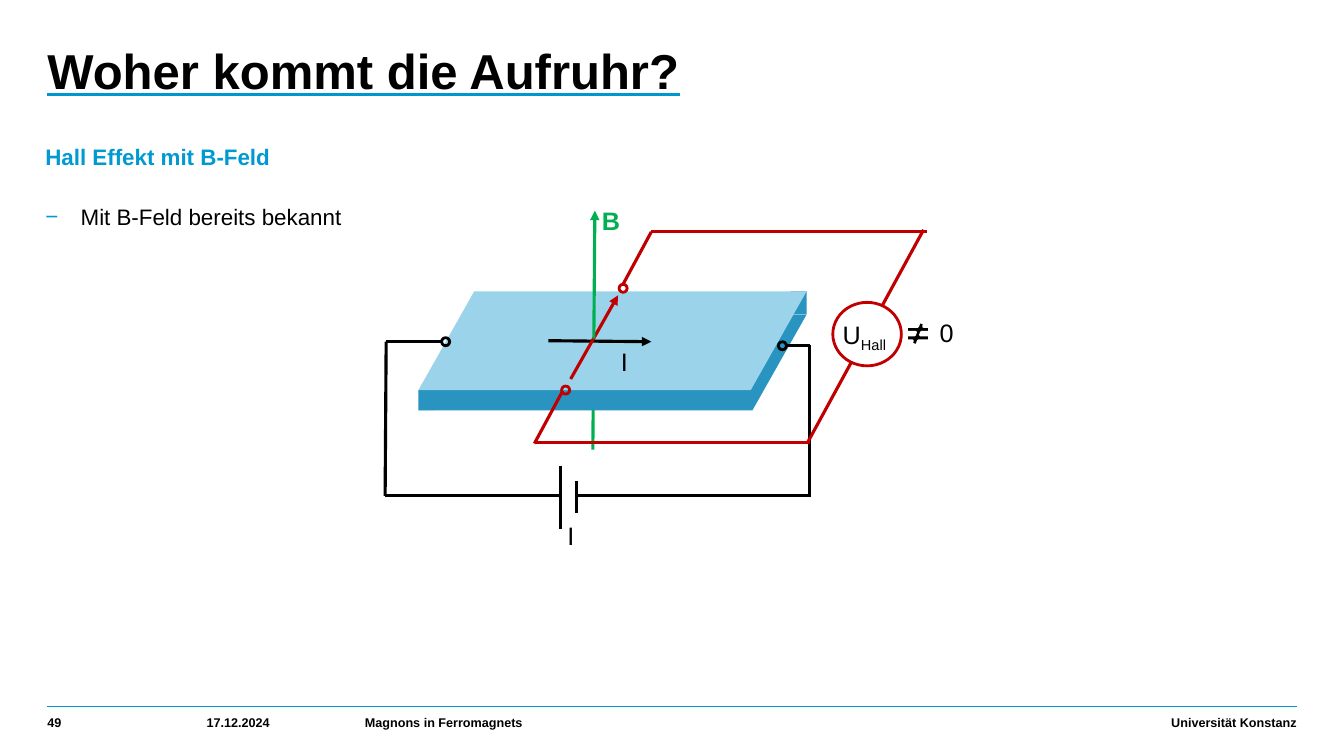
from lxml import etree
from pptx import Presentation
from pptx.dml.color import RGBColor
from pptx.enum.shapes import MSO_CONNECTOR, MSO_SHAPE
from pptx.enum.text import MSO_ANCHOR, MSO_AUTO_SIZE, PP_ALIGN
from pptx.oxml.ns import qn
from pptx.util import Pt

PX = 9144  # one hundredth of an inch in EMU
FONT = "Arial"
BLACK = RGBColor(0x00, 0x00, 0x00)
WHITE = RGBColor(0xFF, 0xFF, 0xFF)
BLUE = RGBColor(0x00, 0x97, 0xCC)
HEADING_BLUE = RGBColor(0x00, 0x9A, 0xD1)
PLATE_SIDE = RGBColor(0x28, 0x94, 0xBF)
PLATE_TOP = RGBColor(0x9B, 0xD3, 0xEA)
GREEN = RGBColor(0x00, 0xB0, 0x50)
RED = RGBColor(0xC0, 0x00, 0x00)

LINE = MSO_CONNECTOR.STRAIGHT
RECTANGLE = MSO_SHAPE.RECTANGLE
PARALLELOGRAM = MSO_SHAPE.PARALLELOGRAM
OVAL = MSO_SHAPE.OVAL
NOT_EQUAL = MSO_SHAPE.MATH_NOT_EQUAL
LEFT, RIGHT = PP_ALIGN.LEFT, PP_ALIGN.RIGHT
TOP, BOTTOM = MSO_ANCHOR.TOP, MSO_ANCHOR.BOTTOM
NO_FIT = MSO_AUTO_SIZE.NONE


def emu(*lengths):
    return [length * PX for length in lengths]


def style(font, size, color, bold=False):
    font.name, font.size, font.bold = FONT, Pt(size), bold
    font.color.rgb = color


def add_line(page, start, end, color=BLACK, width=2.25, arrow=False):
    line = page.shapes.add_connector(LINE, *emu(*start, *end))
    line.line.color.rgb = color
    line.line.width = Pt(width)
    if arrow:
        etree.SubElement(line.line._get_or_add_ln(), qn("a:tailEnd"), type="triangle")
    etree.SubElement(line._element.spPr, qn("a:effectLst"))


def add_form(page, kind, box, fill=None, outline=None, slant=None):
    form = page.shapes.add_shape(kind, *emu(*box))
    form.shadow.inherit = False
    if fill is None:
        form.fill.background()
    else:
        form.fill.solid()
        form.fill.fore_color.rgb = fill
    if outline is None:
        form.line.fill.background()
    else:
        form.line.color.rgb = outline
        form.line.width = Pt(2)
    if slant is not None:
        form.adjustments[0] = slant


def add_label(page, box, text, color=BLACK, bold=False, subscript=None, wrap=True):
    frame = page.shapes.add_textbox(*emu(*box)).text_frame
    frame.word_wrap = wrap
    para = frame.paragraphs[0]
    para.add_run().text = text
    if subscript:
        span = para.add_run()
        span.text = subscript
        span._r.get_or_add_rPr().set("baseline", "-25000")
    style(para.font, 18, color, bold)


def add_footer(page, box, text, align=LEFT):
    frame = page.shapes.add_textbox(*emu(*box)).text_frame
    set_frame(frame, BOTTOM)
    frame.margin_bottom = 6 * PX
    para = frame.paragraphs[0]
    para.text, para.alignment = text, align
    style(para.font, 9, BLACK, True)


def set_frame(frame, anchor):
    frame.word_wrap, frame.auto_size = True, NO_FIT
    frame.vertical_anchor = anchor
    frame.margin_left = frame.margin_right = frame.margin_top = frame.margin_bottom = 0


def place(holder, box):
    holder.left, holder.top, holder.width, holder.height = emu(*box)
    set_frame(holder.text_frame, TOP)
    return holder.text_frame


def set_bullet(para, mark=None, indent=0):
    properties = para._p.get_or_add_pPr()
    properties.set("marL", str(indent * PX))
    properties.set("indent", str(-indent * PX))
    if mark is None:
        etree.SubElement(properties, qn("a:buNone"))
        return
    color = etree.SubElement(properties, qn("a:buClr"))
    etree.SubElement(color, qn("a:srgbClr"), val=str(HEADING_BLUE))
    etree.SubElement(properties, qn("a:buChar"), char=mark)


def add_title(page):
    para = place(page.shapes.title, (47, 44, 924, 71)).paragraphs[0]
    para.alignment, para.line_spacing = LEFT, 0.95
    span = para.add_run()
    span.text = "Woher kommt die Aufruhr?"
    span.font.underline = True
    underline = etree.SubElement(span._r.get_or_add_rPr(), qn("a:uFill"))
    fill = etree.SubElement(underline, qn("a:solidFill"))
    etree.SubElement(fill, qn("a:srgbClr"), val=str(BLUE))
    style(para.font, 35, BLACK, True)


def add_body(page):
    frame = place(page.placeholders[1], (45, 139, 408, 504))
    heading, item = frame.paragraphs[0], frame.add_paragraph()
    heading.text, item.text = "Hall Effekt mit B-Feld", "Mit B-Feld bereits bekannt"
    item.level = 1
    set_bullet(heading)
    set_bullet(item, "−", 35)
    for para, gap, color, bold in ((heading, 0, HEADING_BLUE, True), (item, 22, BLACK, False)):
        para.line_spacing, para.space_before = 1.1, Pt(gap)
        style(para.font, 16, color, bold)


def add_plate(page):
    add_line(page, (588, 446), (589, 319), GREEN, arrow=True)
    add_form(page, PARALLELOGRAM, (415, 312, 385, 95), PLATE_SIDE, slant=0.565)
    add_form(page, RECTANGLE, (415, 387, 16, 20), PLATE_SIDE)
    add_form(page, RECTANGLE, (784, 289, 16, 23), PLATE_SIDE)
    add_form(page, PARALLELOGRAM, (415, 289, 385, 98), PLATE_TOP, slant=0.565)


def add_current_circuit(page):
    for left, top in ((772, 339), (438, 335)):
        add_form(page, OVAL, (left, top, 8, 8), outline=BLACK)
    # Wires, then the two battery plates
    for start, end in (
        ((438, 339), (383, 339)), ((803, 343), (780, 343)),
        ((803, 493), (803, 342)), ((382, 492), (383, 339)),
        ((556, 492), (382, 492)), ((803, 492), (572, 492)),
        ((556, 462), (556, 525)), ((572, 477), (572, 509)),
    ):
        add_line(page, start, end)
    add_label(page, (553, 511, 33, 40), "I")
    add_line(page, (544, 338), (646, 339), arrow=True)
    add_label(page, (606, 339, 33, 40), "I")


def add_hall_circuit(page):
    add_label(page, (587, 199, 32, 40), "B", GREEN, True)
    for left, top in ((557, 383), (614, 282)):
        add_form(page, OVAL, (left, top, 8, 8), outline=RED)
    add_line(page, (566, 376), (613, 293), RED, arrow=True)
    add_line(page, (589, 336), (590, 209), GREEN, arrow=True)
    for start, end in (
        ((530, 440), (558, 388)), ((618, 282), (646, 230)),
        ((646, 230), (919, 230)), ((531, 439), (803, 439)),
        ((801, 439), (916, 228)),
    ):
        add_line(page, start, end, RED)
    # Voltmeter and its reading
    add_form(page, OVAL, (826, 300, 68, 63), WHITE, RED)
    add_label(page, (826, 312, 78, 40), "U", subscript="Hall")
    add_form(page, NOT_EQUAL, (895, 319, 31, 24), BLACK, WHITE)
    add_label(page, (922, 310, 34, 40), "0", wrap=False)


def main():
    deck = Presentation()
    deck.slide_width, deck.slide_height = emu(1333, 750)
    page = deck.slides.add_slide(deck.slide_layouts[1])
    add_title(page)
    add_body(page)
    # Footer
    add_line(page, (47, 701), (1286, 701), BLUE, 1)
    add_footer(page, (47, 706, 136, 24), "49")
    add_footer(page, (205, 706, 137, 24), "17.12.2024")
    add_footer(page, (362, 706, 430, 24), "Magnons in Ferromagnets")
    add_footer(page, (835, 706, 451, 24), "Universität Konstanz", RIGHT)
    # Hall effect drawing
    add_plate(page)
    add_current_circuit(page)
    add_hall_circuit(page)
    deck.save("out.pptx")


if __name__ == "__main__":
    main()
